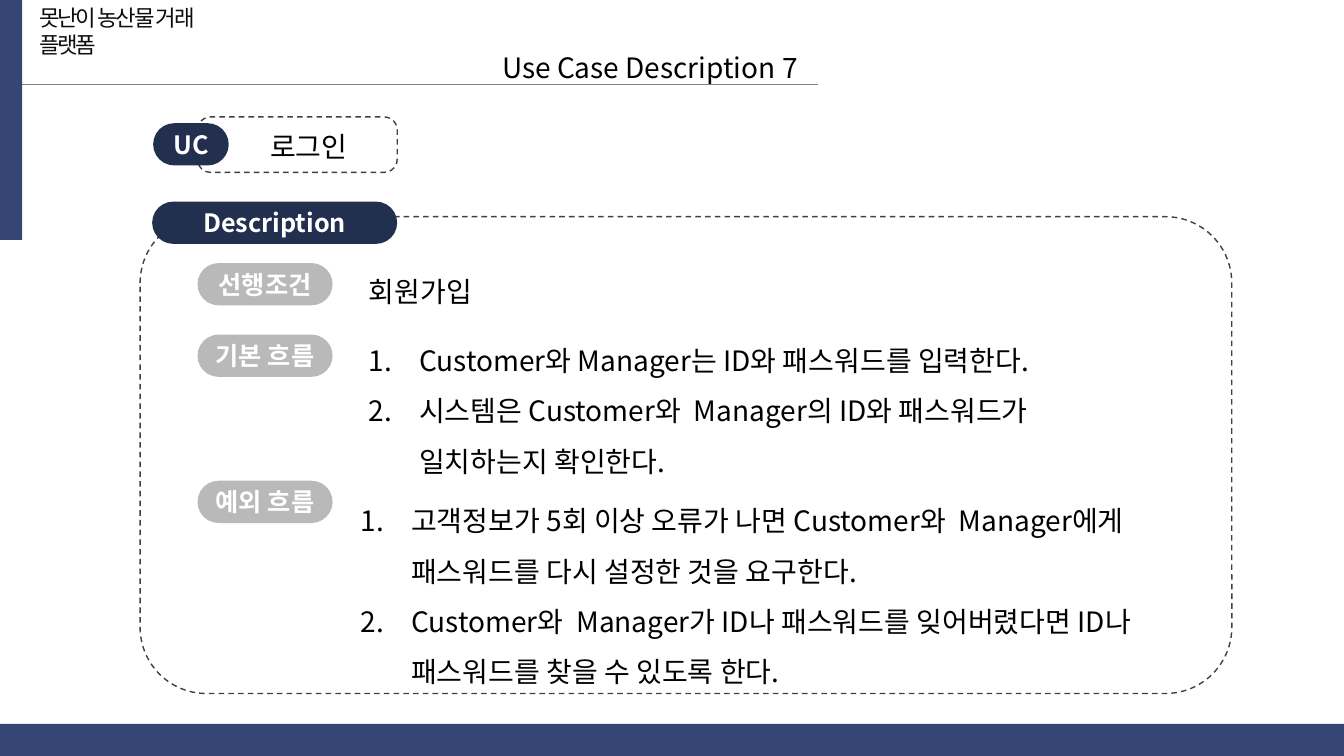
import dataclasses

import pptx
import pptx.dml.color
import pptx.enum.dml
import pptx.enum.shapes
import pptx.enum.text
import pptx.util
from lxml import etree
from pptx.oxml.ns import qn

Pt = pptx.util.Pt
Shape = pptx.enum.shapes.MSO_SHAPE
Fit = pptx.enum.text.MSO_AUTO_SIZE
Align = pptx.enum.text.PP_ALIGN
Anchor = pptx.enum.text.MSO_ANCHOR


@dataclasses.dataclass(frozen=True)
class Theme:
    """Colours, type sizes and font of the slide."""
    bar: str = "354675"
    navy: str = "232F4E"
    gray: str = "B9B9B9"
    dash: str = "404040"
    rule: str = "808080"
    ink: str = "000000"
    soft: str = "0D0D0D"
    white: str = "FFFFFF"
    body: int = 20
    label: int = 18
    small: int = 16
    face: str = "Noto Sans CJK KR"


THEME = Theme()


def rgb(code):
    """Turn a hex code into a colour."""
    return pptx.dml.color.RGBColor.from_string(code)


def style(para, size, color, bold=False, tight=0):
    """Set the font of a paragraph for Latin and Korean text."""
    font = para.font
    font.size, font.bold, font.name = Pt(size), bold, THEME.face
    font.color.rgb = rgb(color)
    props = para._p.pPr.find(qn("a:defRPr"))
    etree.SubElement(props, qn("a:ea"), typeface=THEME.face)
    if tight:
        props.set("spc", str(round(tight * 100)))


def number(para):
    """Give a paragraph an automatic number and a hanging indent."""
    props = para._p.get_or_add_pPr()
    props.set("marL", str(Pt(36)))
    props.set("indent", str(-Pt(36)))
    etree.SubElement(props, qn("a:buAutoNum"), type="arabicPeriod")


def add_text(slide, box, lines, size=THEME.body, color=THEME.ink,
             wrap=True, space=None, listed=False, tight=0):
    """Add a text box with one paragraph for each line."""
    frame = slide.shapes.add_textbox(*map(Pt, box)).text_frame
    frame.word_wrap = wrap
    frame.auto_size = Fit.SHAPE_TO_FIT_TEXT
    frame.text = "\n".join(lines)
    for para in frame.paragraphs:
        if listed:
            number(para)
        if space:
            para.line_spacing = space
        style(para, size, color, tight=tight)


def add_block(slide, kind, box, fill):
    """Add a filled shape without an outline."""
    shape = slide.shapes.add_shape(kind, *map(Pt, box))
    shape.shadow.inherit = False
    shape.fill.solid()
    shape.fill.fore_color.rgb = rgb(fill)
    shape.line.fill.background()
    return shape


def add_pill(slide, left, top, width, text, fill):
    """Add a fully rounded label."""
    pill = add_block(slide, Shape.ROUNDED_RECTANGLE, (left, top, width, 30.2), fill)
    pill.adjustments[0] = 0.5
    frame = pill.text_frame
    frame.vertical_anchor = Anchor.MIDDLE
    frame.text = text
    para = frame.paragraphs[0]
    para.alignment = Align.CENTER
    style(para, THEME.label, THEME.white, bold=True)


def add_frame(slide, box, curve):
    """Add a dashed rounded outline."""
    frame = slide.shapes.add_shape(Shape.ROUNDED_RECTANGLE, *map(Pt, box))
    frame.shadow.inherit = False
    frame.adjustments[0] = curve
    frame.fill.background()
    frame.line.color.rgb = rgb(THEME.dash)
    frame.line.width = Pt(1)
    frame.line.dash_style = pptx.enum.dml.MSO_LINE.DASH


def add_rule(slide, left, right, top):
    """Add the thin line under the title."""
    rule = slide.shapes.add_connector(
        pptx.enum.shapes.MSO_CONNECTOR.STRAIGHT, Pt(left), Pt(top), Pt(right), Pt(top))
    rule.line.color.rgb = rgb(THEME.rule)
    rule.line.width = Pt(0.5)
    etree.SubElement(rule._element.spPr, qn("a:effectLst"))


def set_title(slide, box, text):
    """Place and format the title."""
    title = slide.shapes.title
    title.left, title.top, title.width, title.height = map(Pt, box)
    frame = title.text_frame
    frame.text = text
    frame.word_wrap = True
    frame.auto_size = Fit.NONE
    frame.vertical_anchor = Anchor.TOP
    para = frame.paragraphs[0]
    para.alignment = Align.LEFT
    para.line_spacing = 1.5
    style(para, THEME.body, THEME.ink)


def main():
    """Build the use case slide."""
    deck = pptx.Presentation()
    deck.slide_width, deck.slide_height = Pt(960), Pt(540)
    slide = deck.slides.add_slide(deck.slide_layouts.get_by_name("Title Only"))

    set_title(slide, (351.4, 20.2, 272.9, 43.9), "Use Case Description 7")
    add_rule(slide, 7.2, 584.6, 60.5)
    add_block(slide, Shape.RECTANGLE, (0, 0, 15.8, 171.4), THEME.bar)
    add_block(slide, Shape.RECTANGLE, (0, 517, 960, 23), THEME.bar)
    add_text(slide, (20.9, -0.7, 158.4, 48.2), ["못난이 농산물 거래 플랫폼"],
             THEME.small, THEME.soft, tight=-1.5)

    add_frame(slide, (141.1, 83.5, 142.6, 39.6), 0.236)
    add_pill(slide, 109.4, 88, 54, "UC", THEME.navy)
    add_text(slide, (185.8, 89.3, 74.9, 31.7), ["로그인"], wrap=False)

    add_frame(slide, (100.1, 154.8, 779.8, 340.6), 0.139)
    add_pill(slide, 108.7, 144, 175, "Description", THEME.navy)
    for top, text in ((187.9, "선행조건"), (239, "기본 흐름"), (343.4, "예외 흐름")):
        add_pill(slide, 141.1, top, 96.5, text, THEME.gray)

    add_text(slide, (256.3, 180.7, 95, 43.9), ["회원가입"], wrap=False, space=1.5)
    add_text(slide, (256.3, 229.7, 554.4, 149), [
        "Customer와 Manager는 ID와 패스워드를 입력한다.",
        "시스템은 Customer와  Manager의 ID와 패스워드가 일치하는지 확인한다.",
    ], space=1.5, listed=True)
    add_text(slide, (250.6, 344.2, 612, 189.4), [
        "고객정보가 5회 이상 오류가 나면 Customer와  Manager에게 "
        "패스워드를 다시 설정한 것을 요구한다.",
        "Customer와  Manager가 ID나 패스워드를 잊어버렸다면 ID나 "
        "패스워드를 찾을 수 있도록 한다.",
    ], space=1.5, listed=True)

    deck.save("out.pptx")


if __name__ == "__main__":
    main()
